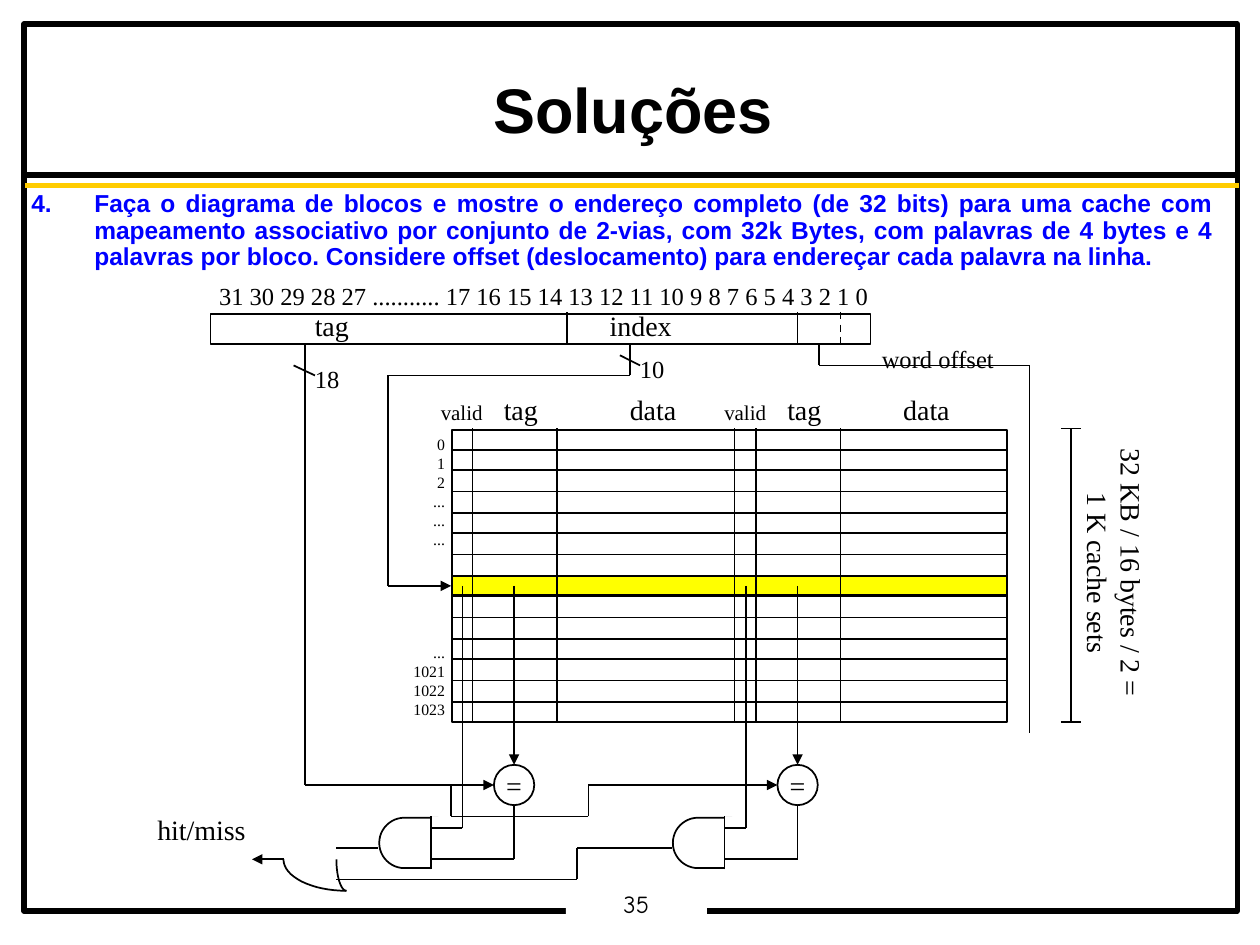
import math
from lxml import etree
from pptx import Presentation, util as u
from pptx.dml.color import RGBColor
from pptx.enum import dml, shapes, text as t
from pptx.oxml import ns

PX = 9144
COLORS = {"ink": "000000", "rule": "FFCC00", "question": "0000FF",
          "selected": "FFFF00", "paper": "FFFFFF"}
SERIF = "Times New Roman"
LEFT, CENTER, RIGHT, JUSTIFY = (t.PP_ALIGN.LEFT, t.PP_ALIGN.CENTER,
                                t.PP_ALIGN.RIGHT, t.PP_ALIGN.JUSTIFY)

deck = Presentation()
deck.slide_width, deck.slide_height = 1000 * PX, 750 * PX
slide = deck.slides.add_slide(deck.slide_layouts[5])


def write(words, at=None, holder=None, size=16, font=SERIF, color="ink", bold=False,
          align=LEFT, spacing=None, wrap=False, anchor=t.MSO_ANCHOR.TOP, margins=(10, 5)):
    holder = holder or slide.shapes.add_textbox(*(n * PX for n in at))
    frame = holder.text_frame
    frame.text = words
    frame.word_wrap = wrap
    frame.auto_size = t.MSO_AUTO_SIZE.NONE
    frame.vertical_anchor = anchor
    frame.margin_left = frame.margin_right = margins[0] * PX
    frame.margin_top = frame.margin_bottom = margins[1] * PX
    for paragraph in frame.paragraphs:
        paragraph.alignment = align
        paragraph.line_spacing = spacing
        paragraph.font.size = u.Pt(size)
        paragraph.font.name = font
        paragraph.font.bold = bold
        paragraph.font.color.rgb = RGBColor.from_string(COLORS[color])
    return holder


def block(kind, at, fill=None, line=1):
    body = slide.shapes.add_shape(kind, *(n * PX for n in at))
    body.shadow.inherit = False
    if fill:
        body.fill.solid()
        body.fill.fore_color.rgb = RGBColor.from_string(COLORS[fill])
    else:
        body.fill.background()
    if line:
        body.line.color.rgb = RGBColor.from_string(COLORS["ink"])
        body.line.width = u.Pt(line)
    else:
        body.line.fill.background()
    return body


RECT = shapes.MSO_SHAPE.RECTANGLE
TOP, BOTTOM, WAY = 340, 573, 225

block(RECT, (19, 19, 963, 704), line=3)
page = block(RECT, (449, 705, 112, 27), fill="paper", line=0)
write("35", holder=page, size=14, font="Comic Neue", align=CENTER, spacing=0.9, margins=(7, 3))

title = slide.shapes.title
title.left, title.top, title.width, title.height = (n * PX for n in (20, 57, 965, 63))
write("Soluções", holder=title, size=36, font="Arial", bold=True, align=CENTER,
      spacing=0.95, wrap=True, anchor=t.MSO_ANCHOR.MIDDLE, margins=(7, 3))

question = write(
    "Faça o diagrama de blocos e mostre o endereço completo (de 32 bits) para uma cache com "
    "mapeamento associativo por conjunto de 2-vias, com 32k Bytes, com palavras de 4 bytes e 4 "
    "palavras por bloco. Considere offset (deslocamento) para endereçar cada palavra na linha.",
    (15, 147, 958, 80), size=14, font="Arial", color="question", bold=True,
    align=JUSTIFY, spacing=0.9, wrap=True)
numbered = question.text_frame.paragraphs[0]
numbered.space_before = u.Pt(5.2)
numbering = numbered._p.get_or_add_pPr()
numbering.set("marL", str(50 * PX))
numbering.set("indent", str(-50 * PX))
bullet = etree.Element(ns.qn("a:buAutoNum"), type="arabicPeriod", startAt="4")
numbering.find(ns.qn("a:spcBef")).addnext(bullet)

block(RECT, (359, 457, 440, 15), fill="selected")
block(RECT, (167, 249, 524, 24))
block(RECT, (359, 341, 440, 232))

wires = [
    ([(20, 139), (983, 139)], {"width": 3}),
    ([(20, 147), (983, 147)], {"width": 3, "color": "rule"}),
    ([(667, 248), (667, 273)], {"dash": True}),
    ([(633, 248), (633, 273)], {}),
    ([(450, 248), (450, 273)], {}),
    ([(850, TOP), (850, BOTTOM)], {}),
    ([(842, TOP), (858, TOP)], {}),
    ([(842, BOTTOM), (858, BOTTOM)], {}),
    ([(500, 273), (500, 298), (308, 298), (308, 465), (358, 465)], {"arrow": True}),
    ([(492, 282), (508, 290)], {}),
    ([(233, 290), (250, 298)], {}),
    ([(242, 273), (242, 623), (392, 623)], {"arrow": True}),
    ([(650, 273), (650, 290), (817, 290), (817, 582)], {}),
    ([(358, 623), (358, 648), (467, 648), (467, 623), (617, 623)], {"arrow": True}),
    ([(533, 673), (458, 673), (458, 698), (267, 698)], {}),
    ([(300, 673), (267, 673)], {}),
    ([(225, 682), (200, 682)], {"arrow": True}),
]
for row in range(1, 14):
    y = TOP + round(row * 100 / 6)
    wires.append(([(358, y), (800, y)], {}))
wires += [([(x, TOP), (x, BOTTOM)], {}) for x in (375, 442, 583, 600, 667)]

for shift, data_x in ((0, 490), (WAY, 707)):
    write("valid", (340 + shift, 312, 53, 30), size=12)
    write("tag", (390 + shift, 307, 47, 36))
    write("data", (data_x, 307, 57, 36))
    comparator = block(shapes.MSO_SHAPE.OVAL, (392 + shift, 607, 32, 32))
    write("=", holder=comparator, align=CENTER, anchor=t.MSO_ANCHOR.MIDDLE)
    wires += [
        ([(408 + shift, 465), (408 + shift, 607)], {"arrow": True}),
    ]

for gate_x, shift in ((301, 0), (534, WAY)):
    and_gate = block(shapes.MSO_SHAPE.ROUNDED_RECTANGLE, (gate_x, 649, 65, 40))
    and_gate.adjustments[0] = 0.5
    edge = gate_x + 41
    block(RECT, (edge, 648, 50, 42), fill="paper", line=0)
    wires += [
        ([(edge, 690), (edge, 648)], {}),
        ([(408 + shift, 640), (408 + shift, 682), (edge, 682)], {}),
        ([(367 + shift, 465), (367 + shift, 657), (edge, 657)], {}),
    ]

for points, style in wires:
    for start, end in zip(points, points[1:]):
        wire = slide.shapes.add_connector(shapes.MSO_CONNECTOR.STRAIGHT,
                                          *(n * PX for n in start + end))
        wire.line.color.rgb = RGBColor.from_string(COLORS[style.get("color", "ink")])
        wire.line.width = u.Pt(style.get("width", 1))
        if style.get("dash"):
            wire.line.dash_style = dml.MSO_LINE.DASH
        if style.get("arrow") and end == points[-1]:
            etree.SubElement(wire.line._get_or_add_ln(), ns.qn("a:tailEnd"), type="triangle")
        etree.SubElement(wire._element.spPr, ns.qn("a:effectLst"))

for radius in (50, 8):
    arc = [(round((275 - radius * math.cos(a)) * PX), round((682 + 25 * math.sin(a)) * PX))
           for a in (math.pi / 2 * step / 16 for step in range(17))]
    builder = slide.shapes.build_freeform(*arc[0])
    builder.add_line_segments(arc[1:], close=False)
    or_gate = builder.convert_to_shape()
    or_gate.shadow.inherit = False
    or_gate.fill.background()
    or_gate.line.color.rgb = RGBColor.from_string(COLORS["ink"])
    or_gate.line.width = u.Pt(1)

for words, at, size in (
    ("31 30 29 28 27 ........... 17 16 15 14 13 12 11 10 9 8 7 6 5 4 3 2 1 0",
     (164, 218, 537, 33), 14),
    ("tag", (240, 240, 47, 36), 16),
    ("index", (474, 240, 69, 36), 16),
    ("10", (498, 276, 39, 33), 14),
    ("18", (240, 284, 39, 33), 14),
    ("word offset", (690, 268, 109, 33), 14),
    ("hit/miss", (115, 640, 90, 36), 16),
):
    write(words, at, size=size)

capacity = write("32 KB / 16 bytes / 2 =\n1 K cache sets", (774, 423, 222, 63), align=CENTER)
capacity.rotation = 90

set_numbers = write("0\n1\n2\n...\n...\n...\n...\n1021\n1022\n1023", (318, 340, 45, 235),
                    size=9, align=RIGHT)
set_numbers.text_frame.paragraphs[6].space_before = u.Pt(54)

deck.save("out.pptx")
